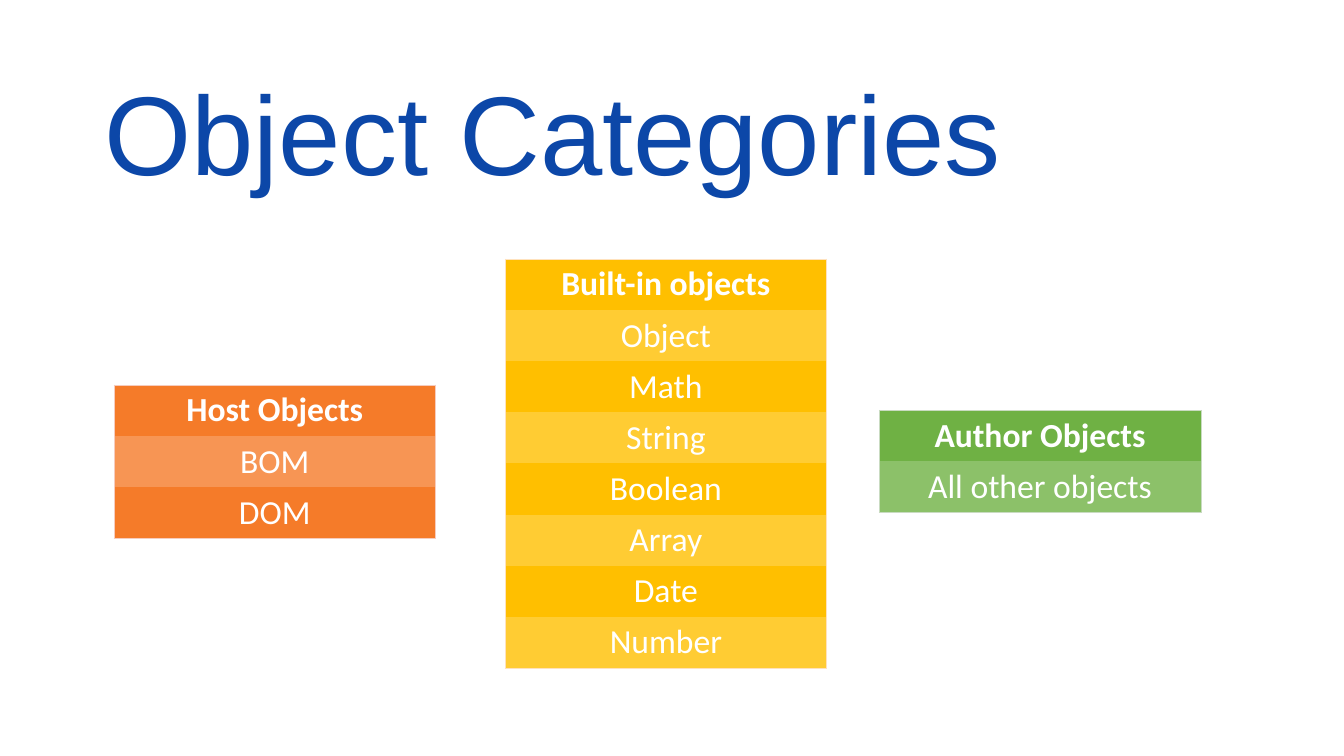
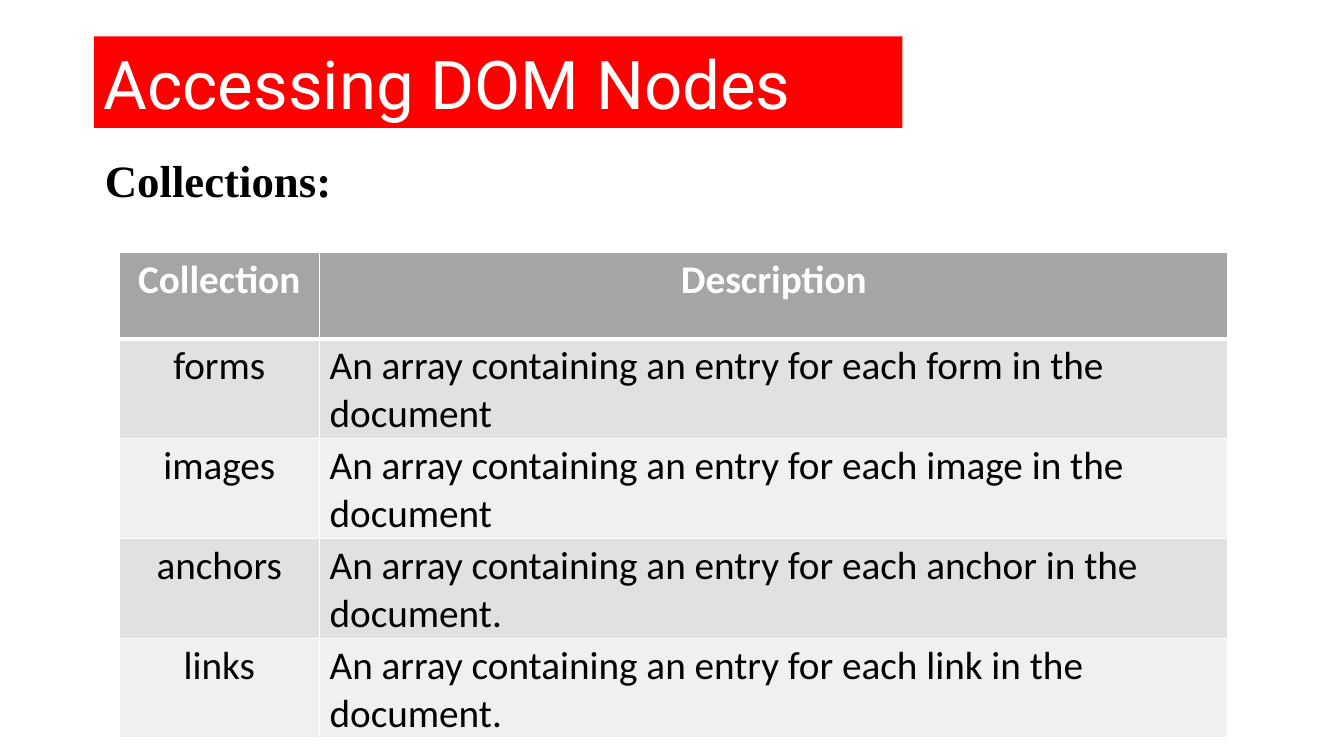
from lxml import etree
from pptx import Presentation
from pptx.dml.color import RGBColor
from pptx.enum.shapes import MSO_SHAPE
from pptx.enum.text import MSO_ANCHOR, PP_ALIGN
from pptx.oxml.ns import qn
from pptx.util import Inches, Pt

LEFT, CENTER = PP_ALIGN.LEFT, PP_ALIGN.CENTER
TOP, BOTTOM = MSO_ANCHOR.TOP, MSO_ANCHOR.BOTTOM
RECT = MSO_SHAPE.RECTANGLE
WHITE, BLACK, BLUE, RED = "FFFFFF", "000000", "0C47A8", "FF0000"
GREY, BAND_DARK, BAND_LIGHT = "A5A5A5", "E1E1E1", "F0F0F0"
BODY = "Calibri"


def rgb(code):
    return RGBColor.from_string(code)


def write(tf, text, font=BODY, size=24, color=WHITE, bold=False, align=LEFT, before=0):
    p = tf.paragraphs[0]
    p.alignment = align
    p.space_before = Pt(before)
    r = p.add_run()
    r.text = text
    r.font.name, r.font.size, r.font.bold = font, Pt(size), bold
    r.font.color.rgb = rgb(color)


def border(cell, side, line):
    """Draw one cell edge; line is (colour, points), or None for no line."""
    ln = etree.SubElement(cell._tc.get_or_add_tcPr(), qn("a:ln" + side))
    if line is None:
        etree.SubElement(ln, qn("a:noFill"))
        return
    color, width = line
    ln.set("w", str(Pt(width)))
    fill = etree.SubElement(ln, qn("a:solidFill"))
    etree.SubElement(fill, qn("a:srgbClr"), val=color)


class Deck:
    """Style and current slide; places are percentages of the slide's size."""

    def __init__(self):
        self.prs = Presentation()
        self.prs.slide_width, self.prs.slide_height = Inches(13.33), Inches(7.5)
        self.s = None

    def x(self, share):
        return int(self.prs.slide_width * share / 100)

    def y(self, share):
        return int(self.prs.slide_height * share / 100)

    def box(self, left, top, width, height):
        return self.x(left), self.y(top), self.x(width), self.y(height)

    def new_slide(self):
        self.s = self.prs.slides.add_slide(self.prs.slide_layouts[6])

    def title(self, text, place, fill, **fmt):
        sp = self.s.shapes.add_shape(RECT, *self.box(*place))
        sp.shadow.inherit = False
        sp.fill.solid()
        sp.fill.fore_color.rgb = rgb(fill)
        sp.line.fill.background()
        tf = sp.text_frame
        tf.word_wrap = True
        tf.vertical_anchor = BOTTOM
        write(tf, text, **fmt)

    def label(self, text, place, **fmt):
        tf = self.s.shapes.add_textbox(*self.box(*place)).text_frame
        tf.word_wrap = True
        tf.vertical_anchor = TOP
        tf.margin_left = tf.margin_right = tf.margin_bottom = 0
        tf.margin_top = Inches(0.03)
        write(tf, text, **fmt)

    def table(self, rows, left, top, widths, heights):
        frame = self.s.shapes.add_table(
            len(rows), len(widths), *self.box(left, top, sum(widths), sum(heights)))
        tbl = frame.table
        tbl.horz_banding = False
        for col, width in zip(tbl.columns, widths):
            col.width = self.x(width)
        for row, height in zip(tbl.rows, heights):
            row.height = self.y(height)
        return tbl

    def cell(self, cell, text, fill, edges, **fmt):
        for side, line in zip("LRTB", edges):
            border(cell, side, line)
        cell.fill.solid()
        cell.fill.fore_color.rgb = rgb(fill)
        write(cell.text_frame, text, **fmt)

    def category(self, names, left, dark, light, edge):
        """One-column list, centred on a common horizontal axis."""
        row_h, axis = 6.67, 60.93
        n = len(names)
        tbl = self.table(names, left, axis - n * row_h / 2, [23.93], [row_h] * n)
        line = (edge, 0.5)
        for i, name in enumerate(names):
            edges = (line, line, line if i == 0 else None, line if i == n - 1 else None)
            self.cell(tbl.cell(i, 0), name, light if i % 2 else dark, edges,
                      bold=i == 0, align=CENTER)

    def description_table(self, rows, left, top, widths, heights):
        tbl = self.table(rows, left, top, widths, heights)
        thin, thick = (WHITE, 1), (WHITE, 3)
        for i, row in enumerate(rows):
            head = i == 0
            fill = GREY if head else BAND_DARK if i % 2 else BAND_LIGHT
            edges = (thin, thin, thick if i == 1 else thin, thick if head else thin)
            for j, text in enumerate(row):
                c = tbl.cell(i, j)
                centred = head or j == 0
                c.margin_left = 0 if centred else Inches(0.1)
                c.margin_right = c.margin_bottom = 0
                c.margin_top = Inches(0.04)
                self.cell(c, text, fill, edges, size=28, bold=head, before=3,
                          color=WHITE if head else BLACK,
                          align=CENTER if centred else LEFT)


def main():
    deck = Deck()

    # Object categories
    deck.new_slide()
    deck.title("Object Categories", (7.05, 7.47, 72.39, 19.33), WHITE,
               font="Arial", size=80, color=BLUE)
    deck.category(["Host Objects", "BOM", "DOM"], 8.48, "F57B29", "F79554", "F6CCBE")
    deck.category(["Built-in objects", "Object", "Math", "String", "Boolean", "Array",
                   "Date", "Number"], 37.58, "FFBF00", "FFCC33", "FFE2BD")
    deck.category(["Author Objects", "All other objects"], 65.42,
                  "6FB144", "8CC169", "C9DBC1")

    # DOM collections
    deck.new_slide()
    collections = [("forms", "form", ""), ("images", "image", ""),
                   ("anchors", "anchor", "."), ("links", "link", ".")]
    rows = [("Collection", "Description")]
    rows += [(name, f"An array containing an entry for each {item} in the document{end}")
             for name, item, end in collections]
    deck.description_table(rows, 8.85, 33.33, [14.93, 67.59], [11.47] + [13] * 4)
    deck.title("Accessing DOM Nodes", (6.98, 4.8, 60.17, 12.13), RED,
               font="Roboto", size=48)
    deck.label("Collections:", (7.8, 19.87, 22.06, 7.33),
               font="Times New Roman", size=32, color=BLACK, bold=True, before=1)

    deck.prs.save("out.pptx")


if __name__ == "__main__":
    main()
